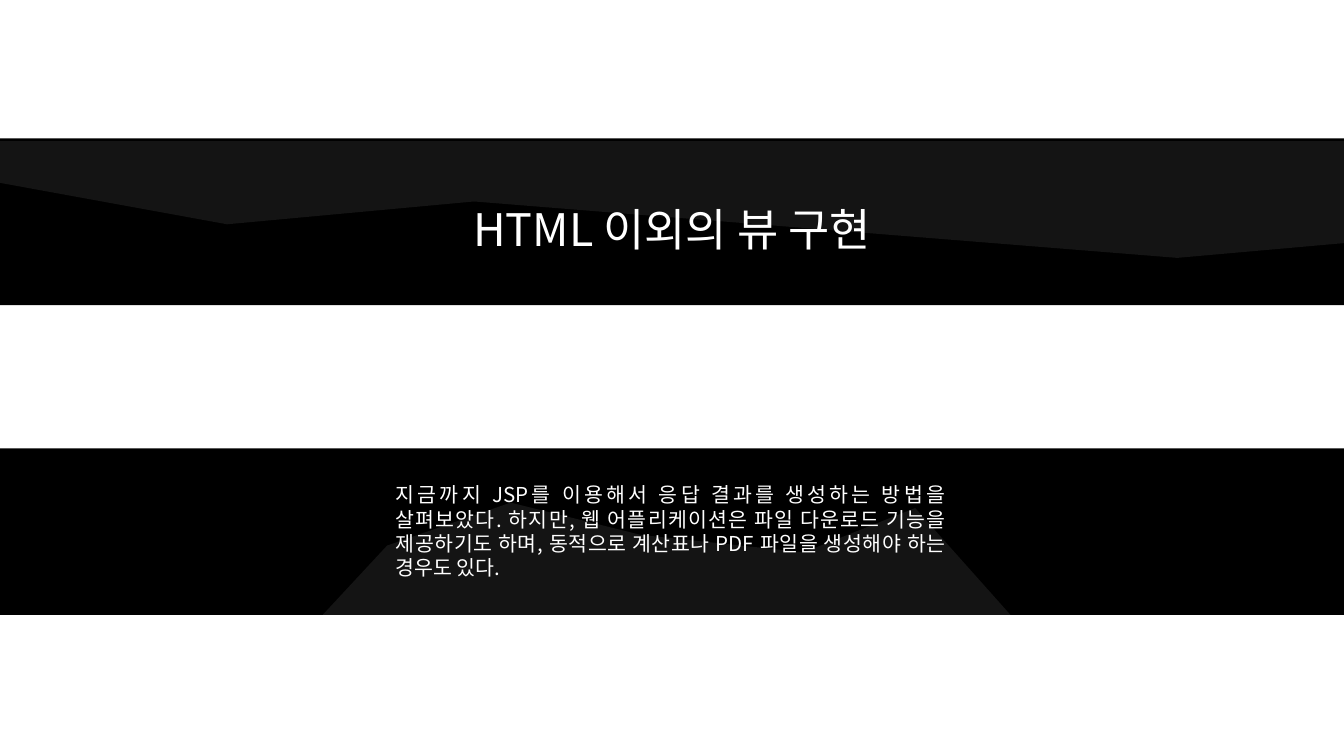
from lxml.etree import SubElement
from pptx import Presentation
from pptx.dml.color import RGBColor
from pptx.enum.shapes import MSO_SHAPE
from pptx.enum.text import PP_ALIGN
from pptx.oxml.ns import qn
from pptx.util import Pt

COLORS = {"band": "000000", "facet": "FFFFFF", "text": "FFFFFF"}
FONT = "Noto Sans CJK KR"
SLIDE_WIDTH = 720
BAND_HEIGHT = 89.3


def paint(shape, color, opacity=None):
    shape.shadow.inherit = False
    shape.line.fill.background()
    shape.fill.solid()
    shape.fill.fore_color.rgb = RGBColor.from_string(color)
    if opacity is not None:
        srgb = shape.fill._xPr.find(".//" + qn("a:srgbClr"))
        SubElement(srgb, qn("a:alpha"), val=str(opacity * 1000))


def add_text(slide, box, text, size, align, line_height):
    frame = slide.shapes.add_textbox(*[Pt(v) for v in box]).text_frame
    frame.word_wrap = True
    paragraph = frame.paragraphs[0]
    paragraph.alignment = align
    paragraph.line_spacing = Pt(line_height)
    run = paragraph.add_run()
    run.text = text
    run.font.size = Pt(size)
    run.font.name = FONT
    run.font.color.rgb = RGBColor.from_string(COLORS["text"])
    SubElement(run.font._element, qn("a:ea"), typeface=FONT)


presentation = Presentation()
presentation.slide_width = Pt(SLIDE_WIDTH)
presentation.slide_height = Pt(405)
slide = presentation.slides.add_slide(presentation.slide_layouts[6])

# Black bands
for top in (74.2, 240.2):
    band = slide.shapes.add_shape(
        MSO_SHAPE.RECTANGLE, 0, Pt(top), Pt(SLIDE_WIDTH), Pt(BAND_HEIGHT))
    paint(band, COLORS["band"])

# Title
add_text(slide, (190, 105, 340, 36), "HTML 이외의 뷰 구현",
         24, PP_ALIGN.CENTER, 28.6)

# Faint facets, one per band
title_facet = [(0, 75.6), (720, 75.6), (720, 130.3), (630.7, 138.2),
               (254, 108), (121.7, 120.2), (0, 98)]
summary_facet = [(541.4, 329.5), (172.8, 329.5), (207.4, 292.3),
                 (273.6, 269.3), (343.4, 286.6), (430.6, 295.9),
                 (490.3, 272.2)]
for corners in (title_facet, summary_facet):
    points = [(Pt(x), Pt(y)) for x, y in corners]
    outline = slide.shapes.build_freeform(*points[0])
    outline.add_line_segments(points[1:], close=True)
    paint(outline.convert_to_shape(), COLORS["facet"], opacity=8)

# Summary
add_text(slide, (204.8, 254.9, 308.9, 47.5),
         "지금까지 JSP를 이용해서 응답 결과를 생성하는 방법을 살펴보았다. "
         "하지만, 웹 어플리케이션은 파일 다운로드 기능을 제공하기도 하며, "
         "동적으로 계산표나 PDF 파일을 생성해야 하는 경우도 있다.",
         11, PP_ALIGN.JUSTIFY, 13.1)

presentation.save("out.pptx")
